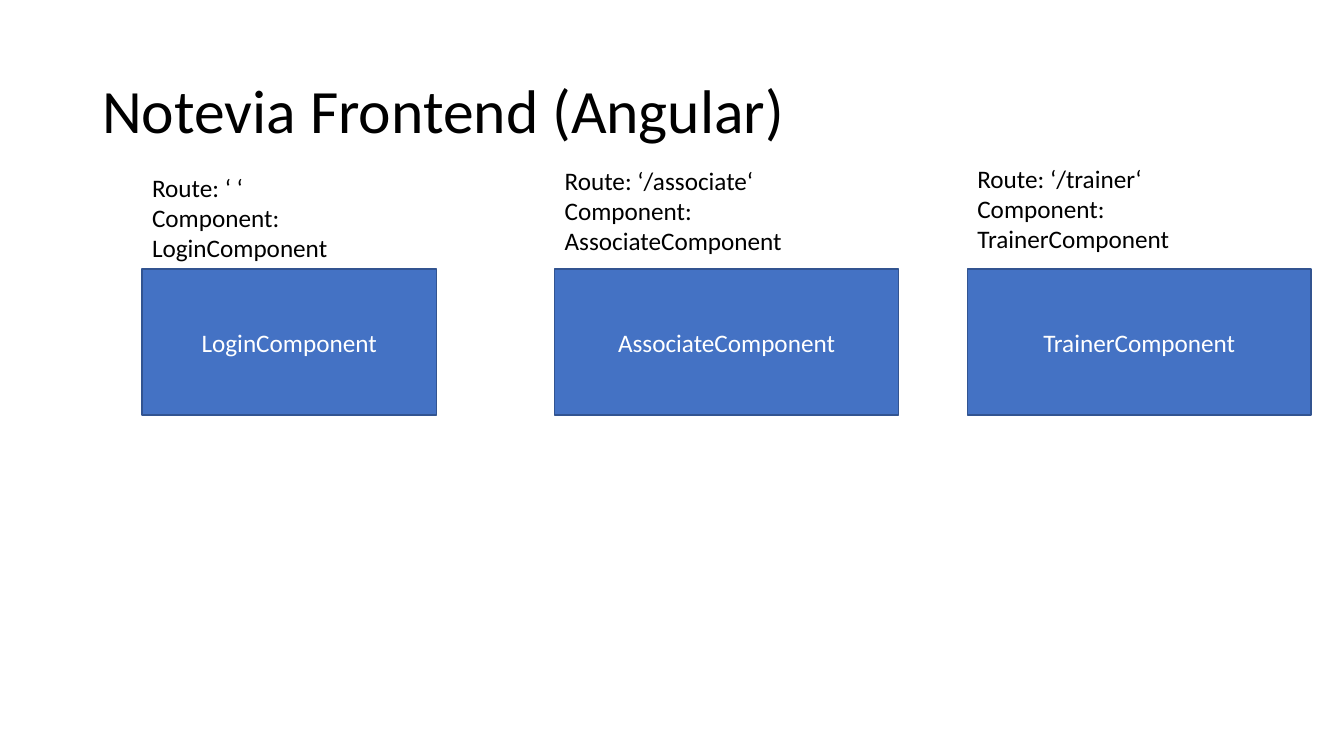
from pptx import Presentation
from pptx.dml.color import RGBColor
from pptx.enum.shapes import MSO_SHAPE
from pptx.enum.text import MSO_ANCHOR, PP_ALIGN
from pptx.util import Pt

RECT = MSO_SHAPE.RECTANGLE
TOP, MIDDLE = MSO_ANCHOR.TOP, MSO_ANCHOR.MIDDLE
LEFT, CENTER = PP_ALIGN.LEFT, PP_ALIGN.CENTER

FONT = "Calibri"
BLACK, WHITE, BLUE, DARK_BLUE = "000000", "FFFFFF", "4472C4", "325491"

# Column grid, in points
FIRST_LEFT, PITCH = 101.5, 294.75
BOX_TOP, BOX_HEIGHT = 192.2, 104.4
LABEL_WIDTH, LABEL_HEIGHT = 195.8, 72.7

# Route, component, box width, label top
ROUTES = [
    ("‘ ‘", "LoginComponent", 210.2, 119.5),
    ("‘/associate‘", "AssociateComponent", 245.5, 114.5),
    ("‘/trainer‘", "TrainerComponent", 245.5, 113),
]


def rgb(value):
    return RGBColor.from_string(value)


def set_text(sp, text, size, color, align=LEFT, anchor=TOP, spacing=1.0):
    tf = sp.text_frame
    tf.word_wrap = True
    tf.vertical_anchor = anchor
    tf.text = text
    for p in tf.paragraphs:
        p.alignment = align
        p.line_spacing = spacing
        for r in p.runs:
            r.font.name = FONT
            r.font.size = Pt(size)
            r.font.color.rgb = rgb(color)


def add_text(slide, x, y, w, h, text, size, **layout):
    sp = slide.shapes.add_textbox(Pt(x), Pt(y), Pt(w), Pt(h))
    set_text(sp, text, size, BLACK, **layout)


def add_box(slide, x, y, w, h, text):
    sp = slide.shapes.add_shape(RECT, Pt(x), Pt(y), Pt(w), Pt(h))
    sp.shadow.inherit = False
    sp.fill.solid()
    sp.fill.fore_color.rgb = rgb(BLUE)
    sp.line.color.rgb = rgb(DARK_BLUE)
    sp.line.width = Pt(1)
    set_text(sp, text, 18, WHITE, align=CENTER, anchor=MIDDLE)


def main():
    prs = Presentation()
    prs.slide_width, prs.slide_height = Pt(960), Pt(540)
    slide = prs.slides.add_slide(prs.slide_layouts[6])

    # Title
    add_text(slide, 66, 28.8, 828, 104.4, "Notevia Frontend (Angular)", 44,
             anchor=MIDDLE, spacing=0.9)

    # One box and label per route
    for i, (route, component, width, label_top) in enumerate(ROUTES):
        x = FIRST_LEFT + i * PITCH
        add_box(slide, x, BOX_TOP, width, BOX_HEIGHT, component)
        add_text(slide, x, label_top, LABEL_WIDTH, LABEL_HEIGHT,
                 f"Route: {route}\nComponent: {component}", 18)

    prs.save("out.pptx")


main()
